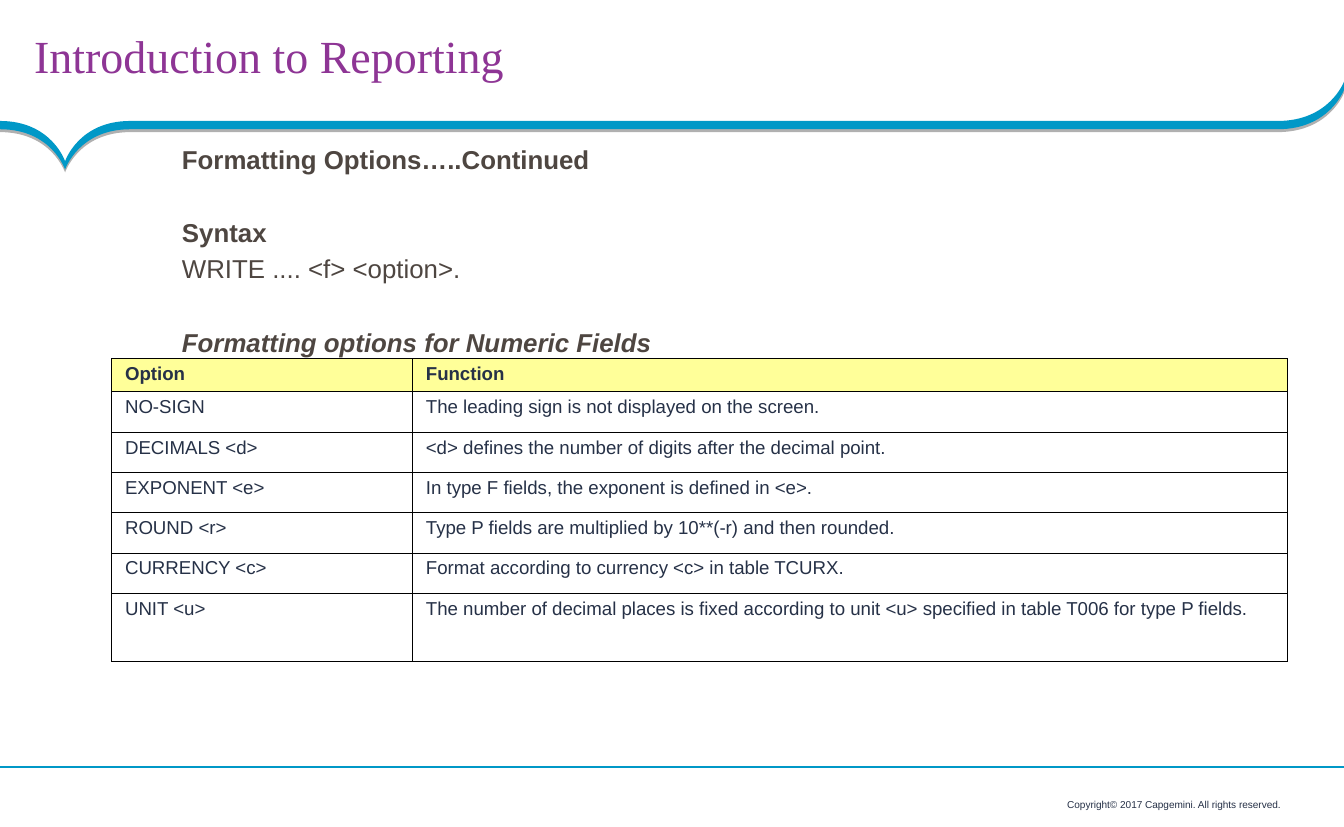
from lxml.etree import SubElement
from pptx import Presentation
from pptx.dml.color import RGBColor
from pptx.enum.shapes import MSO_CONNECTOR
from pptx.enum.text import MSO_ANCHOR, PP_ALIGN
from pptx.oxml import parse_xml
from pptx.oxml.ns import nsdecls, qn
from pptx.util import Inches, Pt

BLUE, PURPLE, BROWN, NAVY = "0098C7", "8E3595", "4E4641", "263147"
YELLOW, BLACK = "FFFF99", "000000"

BODY_LINES = [  # text, bold, italic, space before in points
    ("Formatting Options…..Continued", True, False, 0),
    ("Syntax", True, False, 25.5),
    ("WRITE .... <f> <option>.", False, False, 0),
    ("Formatting options for Numeric Fields", True, True, 25.5),
]
OPTIONS = [
    ("Option", "Function"),
    ("NO-SIGN", "The leading sign is not displayed on the screen."),
    ("DECIMALS <d>", "<d> defines the number of digits after the decimal point."),
    ("EXPONENT <e>", "In type F fields, the exponent is defined in <e>."),
    ("ROUND <r>", "Type P fields are multiplied by 10**(-r) and then rounded."),
    ("CURRENCY <c>", "Format according to currency <c> in table TCURX."),
    ("UNIT <u>", "The number of decimal places is fixed according to unit <u> "
                 "specified in table T006 for type P fields."),
]


def color(hex_string):
    return RGBColor.from_string(hex_string)


def style(para, size, hex_string, name="Arial", bold=False, italic=False):
    font = para.font
    font.size, font.name, font.bold, font.italic = Pt(size), name, bold, italic
    font.color.rgb = color(hex_string)


def set_margins(target, left, top, right, bottom):
    target.margin_left, target.margin_top = Inches(left), Inches(top)
    target.margin_right, target.margin_bottom = Inches(right), Inches(bottom)


def add_text_frame(page, left, top, width, height, margins, anchor):
    box = page.shapes.add_textbox(*map(Inches, (left, top, width, height)))
    frame = box.text_frame
    frame.word_wrap = True
    frame.vertical_anchor = anchor
    set_margins(frame, *margins)
    return frame


def bend_segments(shape, bends):
    """Turn line segments into curves; bends maps a segment to its two control points."""
    segments = list(shape._element.iter(qn("a:lnTo")))
    for index, controls in bends.items():
        segment = segments[index]
        segment.tag = qn("a:cubicBezTo")
        for position, (x, y) in enumerate(controls):
            segment.insert(position, parse_xml(
                f'<a:pt {nsdecls("a")} x="{round(x * 1000)}" y="{round(y * 1000)}"/>'))


def add_ribbon(page, left, top, width):
    """Band with a notch at the left and an upturned right end."""
    thickness, level = 0.08, 0.38
    notch, tip = (0.63, 0.77), (width, 0)
    upper = [(0, level), notch, (1.26, level), (width - 0.64, level), tip]
    upper_bends = {
        0: [(0.5, level), notch],
        1: [notch, (0.76, level)],
        3: [(width - 0.14, level), tip],
    }

    def lowered(points):
        return [(x, y + thickness) for x, y in reversed(points)]

    outline = [((left + x) * 1000, (top + y) * 1000) for x, y in upper + lowered(upper)]
    builder = page.shapes.build_freeform(*outline[0], scale=Inches(1) / 1000)
    builder.add_line_segments(outline[1:], close=True)
    ribbon = builder.convert_to_shape()
    last = len(outline) - 2
    lower_bends = {last - index: lowered(points) for index, points in upper_bends.items()}
    bend_segments(ribbon, upper_bends | lower_bends)
    ribbon.fill.solid()
    ribbon.fill.fore_color.rgb = color(BLUE)
    ribbon.line.fill.background()
    ribbon._element.spPr.append(parse_xml(
        f'<a:effectLst {nsdecls("a")}><a:outerShdw blurRad="0" dist="25400" dir="5400000">'
        f'<a:srgbClr val="{BLACK}"><a:alpha val="31000"/></a:srgbClr>'
        '</a:outerShdw></a:effectLst>'))


def add_footer(page, left, top, width):
    rule = page.shapes.add_connector(
        MSO_CONNECTOR.STRAIGHT, Inches(left + width), Inches(top), Inches(left), Inches(top))
    rule.line.color.rgb = color(BLUE)
    rule.line.width = Pt(0.75)
    SubElement(rule._element.spPr, qn("a:effectLst"))
    frame = add_text_frame(page, left + width - 3.24, top + 0.22, 3.19, 0.28,
                           (0, 0, 0, 0), MSO_ANCHOR.MIDDLE)
    para = frame.paragraphs[0]
    para.text = "Copyright© 2017 Capgemini. All rights reserved."
    para.alignment = PP_ALIGN.CENTER
    style(para, 7, NAVY)


def add_title(page, left, top, width, height):
    frame = add_text_frame(page, left, top, width, height,
                           (0.33, 0.04, 0.18, 0.04), MSO_ANCHOR.MIDDLE)
    para = frame.paragraphs[0]
    para.text = "Introduction to Reporting"
    para.line_spacing = 0.85
    style(para, 32, PURPLE, "Times New Roman")


def add_body(page, left, top, width, height):
    frame = add_text_frame(page, left, top, width, height,
                           (0.12, 0.08, 0.08, 0.08), MSO_ANCHOR.TOP)
    for index, (text, bold, italic, before) in enumerate(BODY_LINES):
        para = frame.add_paragraph() if index else frame.paragraphs[0]
        para.text = text
        para.line_spacing = 0.9
        para.space_before, para.space_after = Pt(before), Pt(6)
        style(para, 18, BROWN, bold=bold, italic=italic)


def add_borders(cell):
    properties = cell._tc.get_or_add_tcPr()
    for position, side in enumerate(("lnL", "lnR", "lnT", "lnB")):
        properties.insert(position, parse_xml(
            f'<a:{side} {nsdecls("a")} w="{Pt(0.45)}"><a:solidFill>'
            f'<a:srgbClr val="{BLACK}"/></a:solidFill></a:{side}>'))


def add_options_table(page, left, top, width):
    heights = [0.32] + [0.39] * 5 + [0.66]
    first_column = 2.91
    table = page.shapes.add_table(
        len(OPTIONS), 2, Inches(left), Inches(top), Inches(width), Inches(sum(heights))).table
    table.first_row = table.horz_banding = False
    table.columns[0].width = Inches(first_column)
    table.columns[1].width = Inches(width - first_column)
    for row_index, (texts, height) in enumerate(zip(OPTIONS, heights)):
        is_header = row_index == 0
        table.rows[row_index].height = Inches(height)
        for column_index, text in enumerate(texts):
            cell = table.cell(row_index, column_index)
            set_margins(cell, 0.13, 0.05, 0.13, 0.05)
            if is_header:
                cell.fill.solid()
                cell.fill.fore_color.rgb = color(YELLOW)
            else:
                cell.fill.background()
            add_borders(cell)
            para = cell.text_frame.paragraphs[0]
            para.text = text
            style(para, 13, NAVY, bold=is_header)


def main():
    deck = Presentation()
    deck.slide_width, deck.slide_height = Inches(13), Inches(8)
    page = deck.slides.add_slide(deck.slide_layouts[6])
    add_ribbon(page, 0, 0.79, 13)
    add_footer(page, 0, 7.42, 13)
    add_title(page, 0, 0.26, 11.91, 0.64)
    add_body(page, 1.64, 1.34, 11.36, 5.5)
    add_options_table(page, 1.08, 3.47, 11.37)
    deck.save("out.pptx")


if __name__ == "__main__":
    main()
